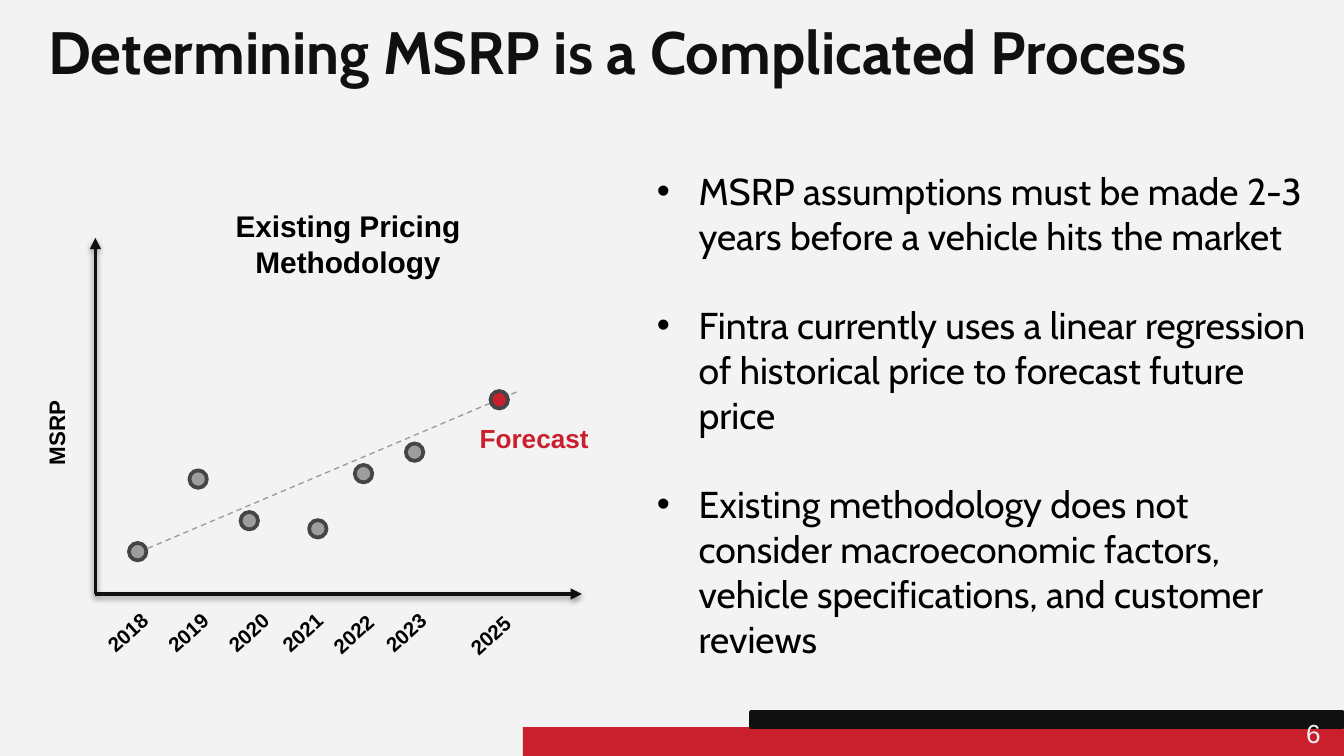
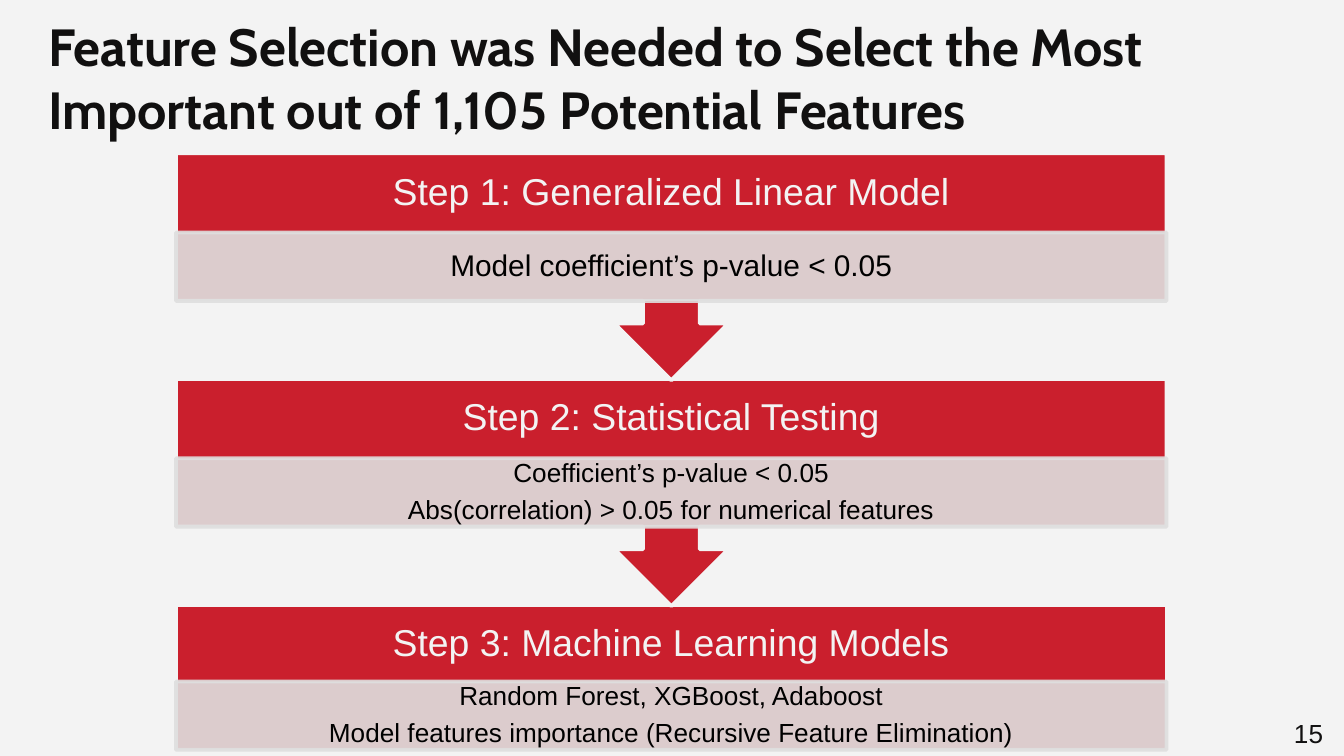
from lxml import etree
from pptx import Presentation
from pptx.dml.color import RGBColor
from pptx.enum.dml import MSO_LINE
from pptx.enum.shapes import MSO_CONNECTOR, MSO_SHAPE
from pptx.enum.text import MSO_ANCHOR, PP_ALIGN
from pptx.oxml.ns import qn
from pptx.util import Inches, Pt

LIGHT = RGBColor(0xF3, 0xF3, 0xF3)
INK = RGBColor(0x11, 0x10, 0x10)
BLACK = RGBColor(0x00, 0x00, 0x00)
RED = RGBColor(0xCA, 0x1F, 0x2D)
GREY = RGBColor(0x9E, 0x9D, 0x9D)
DARK_GREY = RGBColor(0x45, 0x45, 0x45)
PALE = RGBColor(0xDF, 0xDF, 0xDF)

TITLE_FONT = "Cabin"
LABEL_FONT = "Arial"

RECTANGLE = MSO_SHAPE.RECTANGLE
OVAL = MSO_SHAPE.OVAL
CALLOUT = MSO_SHAPE.UP_ARROW_CALLOUT
STRAIGHT = MSO_CONNECTOR.STRAIGHT
DASH = MSO_LINE.DASH
LEFT = PP_ALIGN.LEFT
CENTER = PP_ALIGN.CENTER
TOP = MSO_ANCHOR.TOP
MIDDLE = MSO_ANCHOR.MIDDLE

SLIDE_WIDTH = 10
SLIDE_HEIGHT = SLIDE_WIDTH * 9 / 16

BULLETS = [
    "MSRP assumptions must be made 2-3 years before a vehicle hits the market",
    "Fintra currently uses a linear regression of historical price to forecast future price",
    "Existing methodology does not consider macroeconomic factors, vehicle specifications, "
    "and customer reviews",
]

PRICES = [
    ("2018", 0.25, 2.27, -0.03, 2.79),
    ("2019", 0.70, 1.73, 0.42, 2.79),
    ("2020", 1.08, 2.04, 0.87, 2.79),
    ("2021", 1.59, 2.10, 1.27, 2.79),
    ("2022", 1.93, 1.69, 1.65, 2.80),
    ("2023", 2.31, 1.53, 2.04, 2.79),
    ("2025", 2.94, 1.14, 2.67, 2.81),
]
FORECAST_YEAR = "2025"

STEPS = [
    ("Step 1: Generalized Linear Model", ["Model coefficient’s p-value < 0.05"], 16),
    ("Step 2: Statistical Testing",
     ["Coefficient’s p-value < 0.05", "Abs(correlation) > 0.05 for numerical features"], 14),
    ("Step 3: Machine Learning Models",
     ["Random Forest, XGBoost, Adaboost",
      "Model features importance (Recursive Feature Elimination)"], 14),
]


def add_box(slide, kind, box, fill, line=None):
    shape = slide.shapes.add_shape(kind, *map(Inches, box))
    shape.shadow.inherit = False
    shape.fill.solid()
    shape.fill.fore_color.rgb = fill
    if line is None:
        shape.line.fill.background()
    else:
        shape.line.color.rgb = line
        shape.line.width = Pt(2)
    return shape


def add_text(slide, box, lines, size, color, font=LABEL_FONT, bold=False, align=LEFT,
             anchor=TOP, insets=(0.1, 0.05), rotation=0):
    text_box = slide.shapes.add_textbox(*map(Inches, box))
    text_box.rotation = rotation
    frame = text_box.text_frame
    frame.word_wrap = True
    frame.vertical_anchor = anchor
    frame.margin_left = frame.margin_right = Inches(insets[0])
    frame.margin_top = frame.margin_bottom = Inches(insets[1])
    for index, line in enumerate(lines):
        paragraph = frame.paragraphs[0] if index == 0 else frame.add_paragraph()
        paragraph.alignment = align
        run = paragraph.add_run()
        run.text = line
        run.font.name = font
        run.font.size = Pt(size)
        run.font.bold = bold
        run.font.color.rgb = color
    return frame


def add_line(slide, start, end, color, width):
    connector = slide.shapes.add_connector(STRAIGHT, *map(Inches, (*start, *end)))
    connector.line.color.rgb = color
    connector.line.width = Pt(width)
    effects = etree.SubElement(connector._element.spPr, qn("a:effectLst"))
    return connector, effects


def add_axis(slide, start, end):
    connector, effects = add_line(slide, start, end, INK, 2)
    etree.SubElement(connector.line._get_or_add_ln(), qn("a:tailEnd"), type="triangle")
    shadow = etree.SubElement(effects, qn("a:outerShdw"), blurRad="40000", dist="20000",
                              dir="5400000", rotWithShape="0")
    color = etree.SubElement(shadow, qn("a:srgbClr"), val=str(BLACK))
    etree.SubElement(color, qn("a:alpha"), val="38000")


def make_translucent(shape, percent):
    for color in shape._element.spPr.iter(qn("a:srgbClr")):
        etree.SubElement(color, qn("a:alpha"), val=str(percent * 1000))


def add_slide(presentation, title, title_size):
    slide = presentation.slides.add_slide(presentation.slide_layouts[6])
    slide.background.fill.solid()
    slide.background.fill.fore_color.rgb = LIGHT
    add_text(slide, (0.26, 0.01, 9.73, 1.13), [title], title_size, INK, TITLE_FONT, True,
             insets=(0.1, 0.1))
    return slide


def add_page_number(slide, number, width, color):
    add_text(slide, (SLIDE_WIDTH - width, 5.29, width, 0.34), [number], 14, color)


def add_footer_bands(slide):
    add_box(slide, RECTANGLE, (3.89, 5.41, 6.11, 0.22), RED)
    add_box(slide, RECTANGLE, (5.59, 5.3, 4.4, 0.11), INK, INK)


def add_bullets(slide, box, lines):
    frame = add_text(slide, box, lines, 20, BLACK, TITLE_FONT)
    for index, paragraph in enumerate(frame.paragraphs):
        if index:
            paragraph.space_before = Pt(24)
        properties = paragraph._p.get_or_add_pPr()
        properties.set("marL", str(Inches(0.31)))
        properties.set("indent", str(-Inches(0.31)))
        bullet_color = etree.SubElement(properties, qn("a:buClr"))
        etree.SubElement(bullet_color, qn("a:srgbClr"), val=str(BLACK))
        etree.SubElement(properties, qn("a:buFont"), typeface=LABEL_FONT)
        etree.SubElement(properties, qn("a:buChar"), char="•")


def add_price_plot(slide, box):
    left, top, width, height = box
    origin = (left, top + height)
    add_axis(slide, origin, (left + width, top + height))
    add_axis(slide, origin, (left, top))
    trend, _ = add_line(slide, (left + 0.39, top + 2.31), (left + 3.15, top + 1.14),
                        GREY, 0.75)
    trend.line.dash_style = DASH
    for year, dot_x, dot_y, label_x, label_y in PRICES:
        fill = RED if year == FORECAST_YEAR else GREY
        add_box(slide, OVAL, (left + dot_x, top + dot_y, 0.13, 0.13), fill, DARK_GREY)
        add_text(slide, (left + label_x, top + label_y, 0.55, 0.29), [year], 11, BLACK,
                 bold=True, rotation=317.8)
    add_text(slide, (left - 0.66, top + 1.27, 0.74, 0.3), ["MSRP"], 12, BLACK,
             bold=True, rotation=270)
    add_text(slide, (left + 0.38, top - 0.27, 3, 0.64), ["Existing Pricing Methodology"],
             16, BLACK, bold=True, align=CENTER)
    add_text(slide, (left + 2.68, top + 1.32, 1.17, 0.34), ["Forecast"], 14, RED,
             bold=True, align=CENTER)


def add_step_text(slide, box, lines, size, color, insets):
    frame = add_text(slide, box, lines, size, color, align=CENTER, anchor=MIDDLE,
                     insets=insets)
    for paragraph in frame.paragraphs:
        paragraph.line_spacing = 0.9
        paragraph.space_after = Pt(round(size * 0.35, 1))


def add_step(slide, box, heading, details, detail_size, is_last):
    left, top, width, height = box
    body = add_box(slide, RECTANGLE if is_last else CALLOUT, box, RED, LIGHT)
    if not is_last:
        body.rotation = 180
    add_step_text(slide, (left, top, width, 0.59), [heading], 20, LIGHT, (0.16, 0.16))
    detail_box = (left, top + (0.57 if is_last else 0.59), width, 0.51)
    panel = add_box(slide, RECTANGLE, detail_box, PALE, PALE)
    make_translucent(panel, 90)
    add_step_text(slide, detail_box, details, detail_size, BLACK, (0.11, 0.02))


def add_step_flow(slide, box):
    left, top, width, height = box
    pitch = 1.68
    last = len(STEPS) - 1
    for index in range(last, -1, -1):
        is_last = index == last
        step_top = top + index * pitch
        step_height = top + height - step_top if is_last else pitch + 0.01
        add_step(slide, (left, step_top, width, step_height), *STEPS[index], is_last)


def build_pricing_slide(presentation):
    slide = add_slide(presentation, "Determining MSRP is a Complicated Process", 32)
    add_footer_bands(slide)
    add_bullets(slide, (4.79, 1.2, 5.14, 3.8), BULLETS)
    add_price_plot(slide, (0.71, 1.77, 3.62, 2.65))
    add_page_number(slide, "6", 0.38, LIGHT)


def build_selection_slide(presentation):
    slide = add_slide(
        presentation,
        "Feature Selection was Needed to Select the Most Important out of 1,105 "
        "Potential Features", 28)
    add_page_number(slide, "15", 0.47, INK)
    add_step_flow(slide, (1.31, 1.14, 7.37, 4.45))


def main():
    presentation = Presentation()
    presentation.slide_width = Inches(SLIDE_WIDTH)
    presentation.slide_height = Inches(SLIDE_HEIGHT)
    build_pricing_slide(presentation)
    build_selection_slide(presentation)
    presentation.save("out.pptx")


if __name__ == "__main__":
    main()
